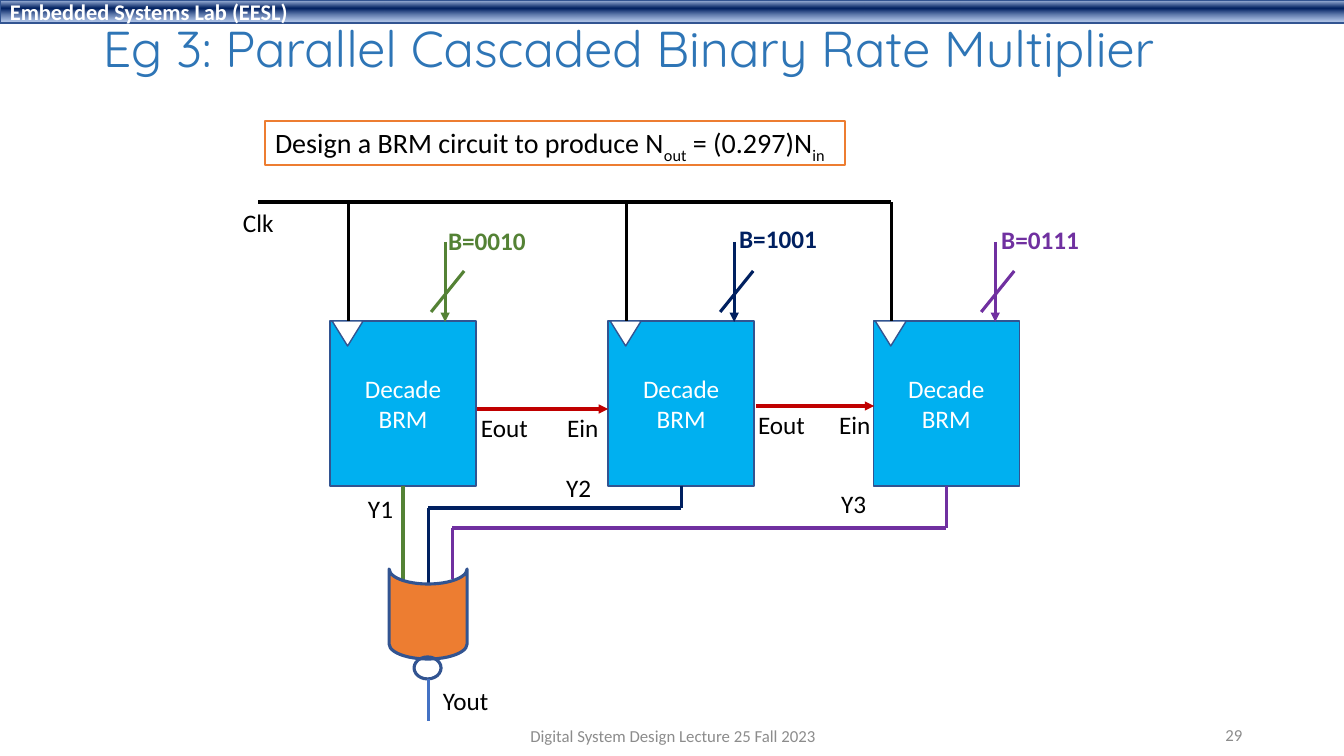
"""Build the parallel cascaded binary rate multiplier slide."""
from lxml import etree
from pptx import Presentation, util as u
from pptx.dml.color import RGBColor
from pptx.enum import shapes as sh, text as tx
from pptx.oxml import parse_xml
from pptx.oxml.ns import qn

PX = 914400 / 100.8
NS = "http://schemas.openxmlformats.org/drawingml/2006/main"
BLACK, WHITE, GREY = "000000", "FFFFFF", "8C8C8C"
GREEN, NAVY, PURPLE, RED = "548235", "002060", "7030A0", "C00000"
EDGE, SKY, ORANGE, BLUE = "325491", "00B0F0", "ED7D31", "4472C4"
LEFT, MID, RIGHT = tx.PP_ALIGN.LEFT, tx.PP_ALIGN.CENTER, tx.PP_ALIGN.RIGHT
KIND = sh.MSO_SHAPE

TOP, WIDE, HIGH, CLOCK = 321, 146, 165, 202
STOPS = [(2, "ABC0E4", 100), (38, NAVY, 100), (93, "7E9ED6", 64)]
TASK = [("Design a BRM circuit to produce N", 0), ("out", -25),
        (" = (0.297)N", 0), ("in", -25)]
# left, bus x, bus word, word place, colour, bends of the output wire
UNITS = [
    (330, 445, "B=0010", (438, 220), GREEN, [(403, 583)]),
    (608, 734, "B=1001", (729, 218), NAVY, [(681, 508), (428, 508), (428, 583)]),
    (873, 995, "B=0111", (991, 219), PURPLE, [(946, 528), (452, 528), (452, 579)]),
]
LINKS = [(477, 608, 409), (756, 874, 406)]
LABELS = [
    ("Clk", 233, 202, 51), ("Y1", 358, 488, 45), ("Y2", 556, 467, 45),
    ("Y3", 831, 483, 45), ("Yout", 433, 680, 67),
    ("Eout", 471, 407, 67), ("Ein", 557, 407, 52),
    ("Eout", 748, 404, 67), ("Ein", 829, 404, 52),
]

deck = Presentation()
deck.slide_width, deck.slide_height = u.Inches(13.33), u.Inches(7.5)
page = deck.slides.add_slide(deck.slide_layouts[6]).shapes


def px(*vals):
    return [round(v * PX) for v in vals]


def hue(code):
    return RGBColor.from_string(code)


def write(item, rows, size, code, align=LEFT, bold=False, font="Calibri",
          anchor=tx.MSO_ANCHOR.MIDDLE, wrap=True):
    """Fill an item with rows of (words, baseline) runs."""
    frame = item.text_frame
    frame.word_wrap, frame.vertical_anchor = wrap, anchor
    for i, row in enumerate(rows):
        para = frame.add_paragraph() if i else frame.paragraphs[0]
        para.alignment = align
        for words, base in row:
            run = para.add_run()
            run.text = words
            run.font.size, run.font.name = u.Pt(size), font
            run.font.bold, run.font.color.rgb = bold, hue(code)
            if base:
                run.font._element.set("baseline", str(base * 1000))
    return frame


def shape(kind, box, fill, edge=EDGE, width=1):
    item = page.add_shape(kind, *px(*box))
    item.shadow.inherit = False
    if fill:
        item.fill.solid()
        item.fill.fore_color.rgb = hue(fill)
    else:
        item.fill.background()
    item.line.color.rgb, item.line.width = hue(edge), u.Pt(width)
    return item


def label(words, box, size=18, code=BLACK, **look):
    return write(page.add_textbox(*px(*box)), [[(words, 0)]], size, code, **look)


def tag(words, x, y, width, **look):
    label(words, (x, y, width, 40), anchor=tx.MSO_ANCHOR.TOP, wrap=False, **look)


def wire(start, end, code, arrow=False):
    line = page.add_connector(sh.MSO_CONNECTOR.STRAIGHT, *px(*start, *end))
    line.line.color.rgb, line.line.width = hue(code), u.Pt(2.25)
    if arrow:
        etree.SubElement(line.line._get_or_add_ln(), qn("a:tailEnd"), type="triangle")
    etree.SubElement(line._element.spPr, qn("a:effectLst"))
    return line


def shade(item):
    """Swap the solid fill for the vertical gradient."""
    stops = "".join(
        f'<a:gs pos="{pos}000"><a:srgbClr val="{code}">'
        f'<a:alpha val="{alpha}000"/></a:srgbClr></a:gs>' for pos, code, alpha in STOPS)
    grad = parse_xml(f'<a:gradFill xmlns:a="{NS}" rotWithShape="1"><a:gsLst>{stops}'
                     '</a:gsLst><a:lin ang="5400000" scaled="0"/></a:gradFill>')
    props = item._element.spPr
    props.replace(props.find(qn("a:solidFill")), grad)


def unit(left, bus, word, place, code, bends):
    block = shape(KIND.RECTANGLE, (left, TOP, WIDE, HIGH), SKY)
    write(block, [[("Decade", 0)], [("BRM", 0)]], 18, WHITE, MID)
    shape(KIND.ISOSCELES_TRIANGLE, (left + 2, TOP, 31, 25), WHITE).rotation = 180
    wire((left + 18, TOP), (left + 18, CLOCK), BLACK)
    wire((bus, 242), (bus, 322), code, True)
    wire((bus + 19, 271), (bus - 14, 312), code)
    tag(word, *place, 99, code=code, bold=True)
    last = (left + WIDE // 2, TOP + HIGH)
    for i, bend in enumerate(bends):
        line = wire(last, bend, code)
        if not i:
            line.begin_connect(block, 2)
        last = bend


def main():
    bar = shape(KIND.RECTANGLE, (0, 0, 1344, 23), NAVY)
    shade(bar)
    write(bar, [[("Embedded Systems Lab (EESL)", 0)]], 16, WHITE, bold=True)
    title = label("Eg 3: Parallel Cascaded Binary Rate Multiplier",
                  (93, 11, 1159, 80), 36, "2E75B6", font="Quicksand")
    title.paragraphs[0].line_spacing = 0.9
    task = shape(KIND.RECTANGLE, (265, 121, 580, 44), WHITE, ORANGE)
    write(task, [TASK], 20, BLACK, anchor=tx.MSO_ANCHOR.TOP, wrap=False)

    for row in UNITS:
        unit(*row)
    wire((891, CLOCK), (258, CLOCK), BLACK)
    for start, end, y in LINKS:
        wire((start, y), (end, y), RED, True)

    gate = shape(KIND.FLOWCHART_STORED_DATA, (383, 575, 90, 78), ORANGE, width=2.25)
    gate.rotation = 270
    shape(KIND.OVAL, (414, 657, 27, 22), None, width=2.25)
    wire((428, 679), (428, 721), BLUE)
    for row in LABELS:
        tag(*row)

    label("Digital System Design Lecture 25 Fall 2023", (446, 716, 454, 40),
          12, GREY, align=MID)
    label("29", (950, 715, 302, 40), 12, GREY, align=RIGHT)
    deck.save("out.pptx")


if __name__ == "__main__":
    main()
